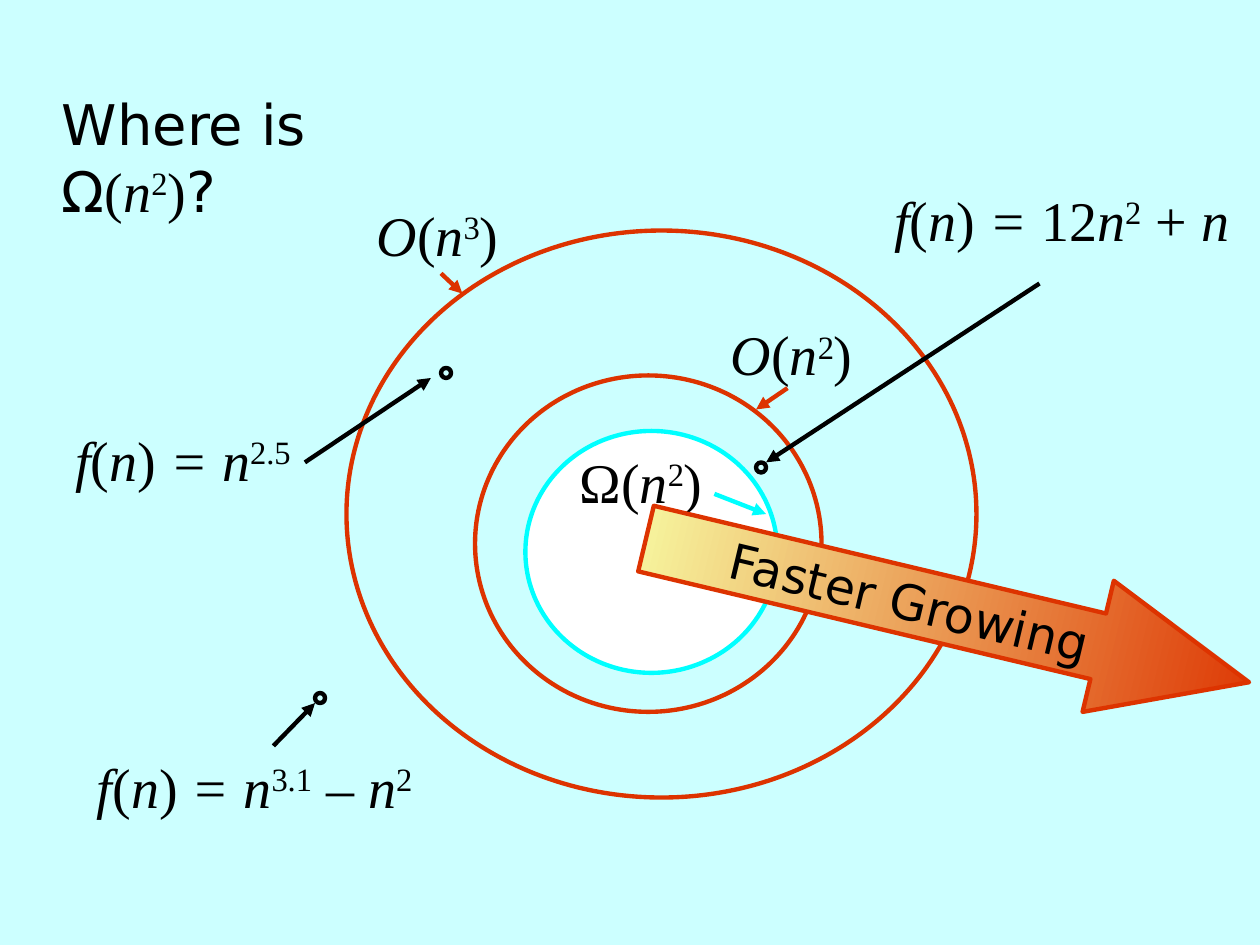
from dataclasses import dataclass
from typing import NamedTuple

from lxml import etree
from pptx import Presentation
from pptx.dml.color import RGBColor
from pptx.enum.shapes import MSO_CONNECTOR, MSO_SHAPE
from pptx.enum.text import MSO_ANCHOR, MSO_AUTO_SIZE, PP_ALIGN
from pptx.oxml.ns import qn
from pptx.util import Inches, Pt

OVAL = MSO_SHAPE.OVAL
RIGHT_ARROW = MSO_SHAPE.RIGHT_ARROW
STRAIGHT = MSO_CONNECTOR.STRAIGHT
TOP, MIDDLE = MSO_ANCHOR.TOP, MSO_ANCHOR.MIDDLE
LEFT, CENTER = PP_ALIGN.LEFT, PP_ALIGN.CENTER
FIXED, GROW = MSO_AUTO_SIZE.NONE, MSO_AUTO_SIZE.SHAPE_TO_FIT_TEXT


@dataclass(frozen=True)
class Theme:
    background: RGBColor = RGBColor(0xCC, 0xFF, 0xFF)
    ink: RGBColor = RGBColor(0, 0, 0)
    upper: RGBColor = RGBColor(0xDD, 0x33, 0x00)
    lower: RGBColor = RGBColor(0, 0xFF, 0xFF)
    core: RGBColor = RGBColor(0xFF, 0xFF, 0xFF)
    slow: RGBColor = RGBColor(0xF7, 0xFB, 0xA3)
    sans: str = "DejaVu Sans"
    math: str = "Times New Roman"
    text_size: Pt = Pt(32)
    arrow_size: Pt = Pt(28)
    line: Pt = Pt(2.5)


THEME = Theme()


class Term(NamedTuple):
    """A piece of a formula."""
    text: str
    italic: bool = False
    raised: bool = False
    font: str | None = None


class Box(NamedTuple):
    left: float
    top: float
    width: float
    height: float


class Ring(NamedTuple):
    box: Box
    color: RGBColor
    fill: RGBColor | None = None


class Formula(NamedTuple):
    box: Box
    terms: list[Term]


class Pointer(NamedTuple):
    start: tuple[float, float]
    end: tuple[float, float]
    color: RGBColor


def var(text: str) -> Term:
    return Term(text, italic=True)


def power(text: str) -> Term:
    return Term(text, raised=True)


def big(symbol: Term, exponent: str) -> list[Term]:
    return [symbol, Term("("), var("n"), power(exponent), Term(")")]


def function(*body: Term) -> list[Term]:
    return [var("f"), Term("("), var("n"), Term(")"), *body]


def place(box: Box) -> list[int]:
    return [Inches(length) for length in box]


def write(paragraph, terms: list[Term], font: str | None, size: Pt = THEME.text_size) -> None:
    paragraph.font.size = size
    paragraph.font.color.rgb = THEME.ink
    if font:
        paragraph.font.name = font
    for term in terms:
        run = paragraph.add_run()
        run.text = term.text
        if term.italic:
            run.font.italic = True
        if term.font:
            run.font.name = term.font
        if term.raised:
            run.font._element.set("baseline", "30000")


def outline(shape, color: RGBColor) -> None:
    shape.shadow.inherit = False
    shape.line.color.rgb = color
    shape.line.width = THEME.line


def draw_ring(slide, ring: Ring) -> None:
    oval = slide.shapes.add_shape(OVAL, *place(ring.box))
    outline(oval, ring.color)
    if ring.fill is None:
        oval.fill.background()
    else:
        oval.fill.solid()
        oval.fill.fore_color.rgb = ring.fill


def draw_formula(slide, formula: Formula) -> None:
    frame = slide.shapes.add_textbox(*place(formula.box)).text_frame
    frame.word_wrap = False
    frame.auto_size = GROW
    write(frame.paragraphs[0], formula.terms, THEME.math)


def draw_pointer(slide, pointer: Pointer) -> None:
    ends = [Inches(v) for v in (*pointer.start, *pointer.end)]
    line = slide.shapes.add_connector(STRAIGHT, *ends)
    line.line.color.rgb = pointer.color
    line.line.width = THEME.line
    etree.SubElement(line.line._get_or_add_ln(), qn("a:tailEnd"), type="triangle")
    etree.SubElement(line._element.spPr, qn("a:effectLst"))


def draw_title(slide) -> None:
    title = slide.shapes.title
    title.left, title.top, title.width, title.height = place(Box(0.39, 0.66, 2.15, 1.17))
    frame = title.text_frame
    frame.word_wrap = True
    frame.auto_size = FIXED
    frame.vertical_anchor = TOP
    omega = [term._replace(font=THEME.math) for term in big(Term("Ω"), "2")]
    omega[0] = Term("Ω", font=THEME.sans)
    question = [*omega, Term("?", font=THEME.sans)]
    lines = [frame.paragraphs[0], frame.add_paragraph()]
    write(lines[0], [Term("Where is")], THEME.sans)
    write(lines[1], question, None)
    for line in lines:
        line.alignment = LEFT


def draw_growth_arrow(slide) -> None:
    arrow = slide.shapes.add_shape(RIGHT_ARROW, *place(Box(5.06, 4.31, 4.92, 1.07)))
    arrow.rotation = 13.4
    arrow.adjustments[1] = 1.15
    outline(arrow, THEME.upper)
    arrow.fill.gradient()
    arrow.fill.gradient_angle = 0
    for stop, color in zip(arrow.fill.gradient_stops, (THEME.slow, THEME.upper)):
        stop.color.rgb = color
    frame = arrow.text_frame
    frame.vertical_anchor = MIDDLE
    frame.paragraphs[0].alignment = CENTER
    write(frame.paragraphs[0], [Term("Faster Growing")], THEME.sans, THEME.arrow_size)


DOT = 0.08
EXAMPLE_POINTS = [(3.5, 2.92), (6, 3.67), (2.5, 5.5)]
UPPER_RINGS = [Ring(Box(2.75, 1.83, 5, 4.5), THEME.upper),
               Ring(Box(3.77, 2.98, 2.75, 2.67), THEME.upper)]
OMEGA_RING = Ring(Box(4.17, 3.42, 2, 1.92), THEME.lower, THEME.core)
FORMULAS = [
    Formula(Box(2.89, 1.54, 1.19, 0.63), big(var("O"), "3")),
    Formula(Box(5.7, 2.49, 1.19, 0.63), big(var("O"), "2")),
    Formula(Box(4.5, 3.5, 1.21, 0.63), big(Term("Ω"), "2")),
    Formula(Box(0.5, 3.33, 1.95, 0.63), function(var(" = n"), power("2.5"))),
    Formula(Box(7, 1.42, 2.87, 0.63),
            function(var(" = "), Term("12"), var("n"), power("2"), Term(" + "), var("n"))),
    Formula(Box(0.67, 5.92, 2.76, 0.63),
            function(var(" = n"), power("3.1"), Term(" – "), var("n"), power("2"))),
]
POINTERS = [
    Pointer((3.5, 2.17), (3.67, 2.33), THEME.upper),
    Pointer((6.25, 3.08), (6, 3.25), THEME.upper),
    Pointer((5.67, 3.92), (6.08, 4.08), THEME.lower),
    Pointer((2.42, 3.67), (3.42, 3), THEME.ink),
    Pointer((8.25, 2.25), (6.08, 3.67), THEME.ink),
    Pointer((2.17, 5.92), (2.5, 5.58), THEME.ink),
]


def main() -> None:
    deck = Presentation()
    deck.slide_width, deck.slide_height = Inches(10), Inches(7.5)
    slide = deck.slides.add_slide(deck.slide_layouts[5])
    slide.background.fill.solid()
    slide.background.fill.fore_color.rgb = THEME.background
    draw_title(slide)

    # Growth classes, with example functions as dots
    dots = [Ring(Box(x, y, DOT, DOT), THEME.ink) for x, y in EXAMPLE_POINTS]
    for ring in [*UPPER_RINGS, OMEGA_RING, *dots]:
        draw_ring(slide, ring)

    # Labels and the arrows that tie them to rings and dots
    for formula in FORMULAS:
        draw_formula(slide, formula)
    for pointer in POINTERS:
        draw_pointer(slide, pointer)

    # Direction of growth
    draw_growth_arrow(slide)
    deck.save("out.pptx")


if __name__ == "__main__":
    main()
